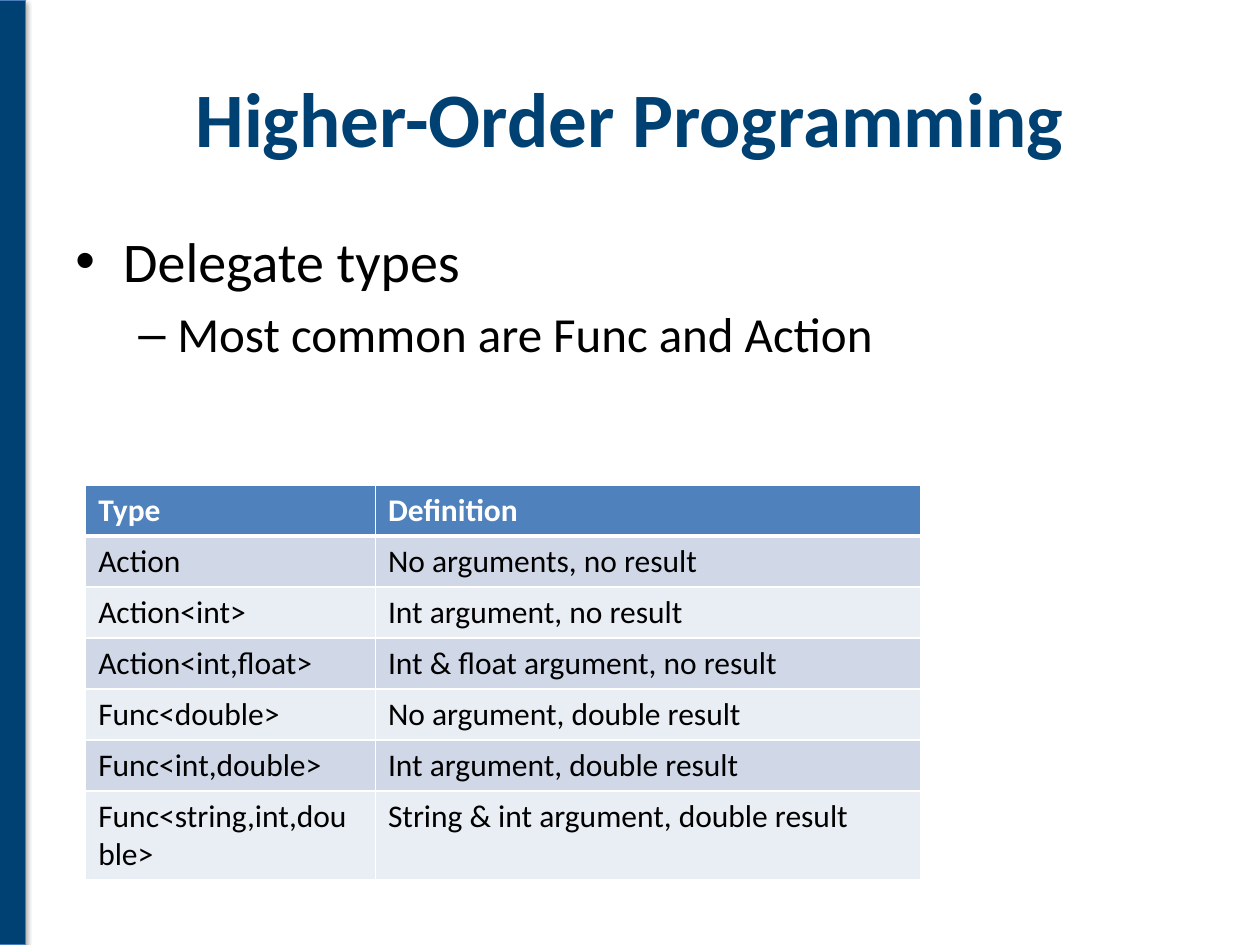
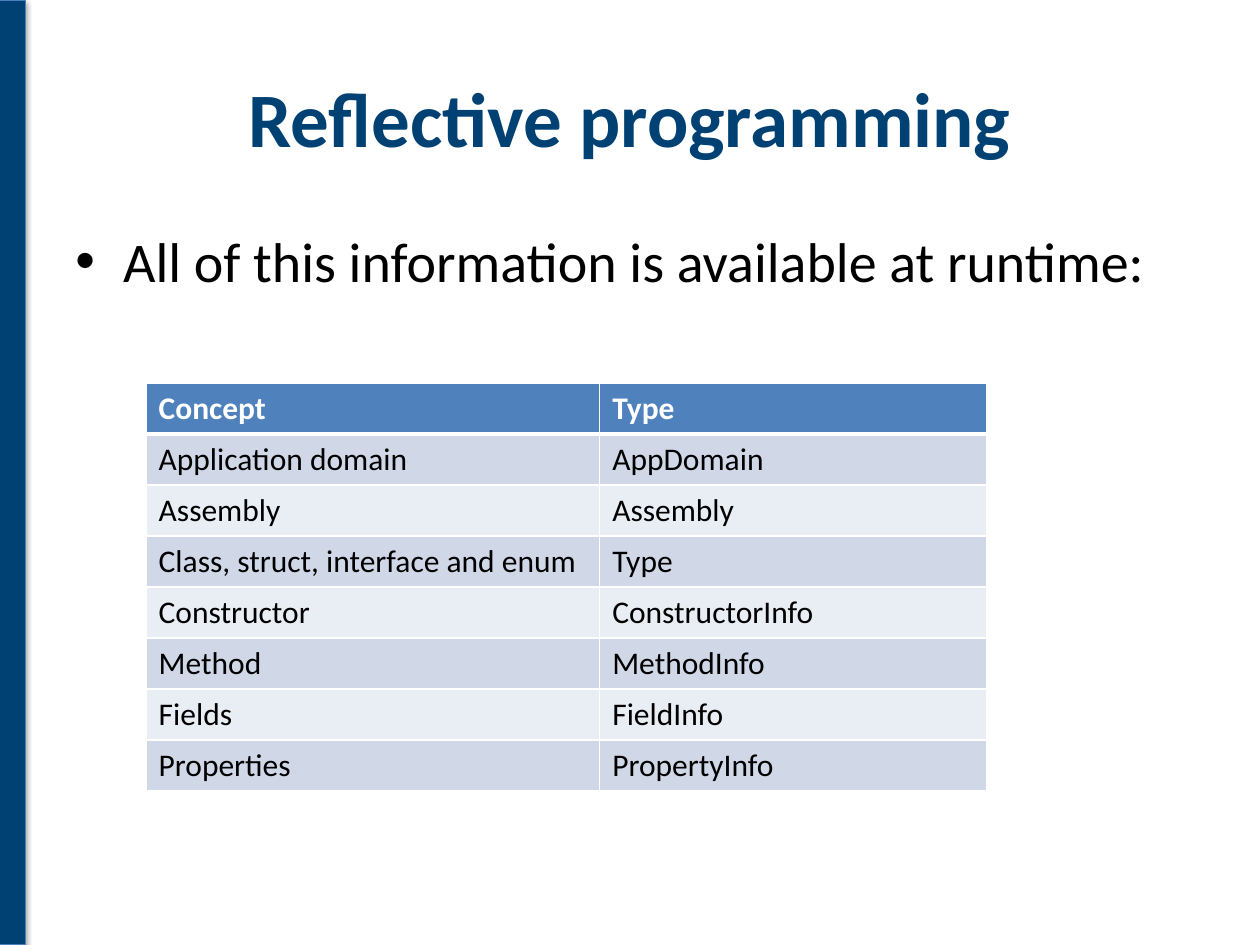
from dataclasses import dataclass

from pptx import Presentation
from pptx.dml.color import RGBColor
from pptx.enum.shapes import MSO_SHAPE as Shape
from pptx.enum.text import MSO_ANCHOR as Anchor, PP_ALIGN as Align
from pptx.oxml import parse_xml
from pptx.oxml.ns import nsdecls
from pptx.util import Inches, Pt


@dataclass(frozen=True)
class Theme:
    font: str = "Calibri"
    navy: str = "004173"
    bar_edge: str = "4B7EBC"
    header: str = "4F81BD"
    stripes: tuple = ("D0D8E8", "E9EDF4")
    white: str = "FFFFFF"
    black: str = "000000"
    title_size: int = 44
    body_sizes: tuple = (32, 28)
    table_size: int = 18
    # Bullet character, left margin and hanging indent by level
    bullets: tuple = (("•", 0.38, 0.38), ("–", 0.81, 0.31))
    row_height: int = Inches(3.24) // 8


class SlideBuilder:
    def __init__(self, deck, theme):
        self.deck = deck
        self.theme = theme
        self.page = None

    def new_page(self, title):
        self.page = self.deck.slides.add_slide(self.deck.slide_layouts[6])
        self.side_bar()
        self.title(title)

    def format_text(self, para, size, color, bold=False):
        for span in para.runs:
            span.font.name = self.theme.font
            span.font.size = Pt(size)
            span.font.bold = bold
            span.font.color.rgb = RGBColor.from_string(color)

    def text_frame(self, left, top, width, height):
        box = self.page.shapes.add_textbox(
            Inches(left), Inches(top), Inches(width), Inches(height))
        box.text_frame.word_wrap = True
        return box.text_frame

    def side_bar(self):
        bar = self.page.shapes.add_shape(
            Shape.RECTANGLE, Inches(-0.12), 0, Inches(0.32), self.deck.slide_height)
        bar.fill.solid()
        bar.fill.fore_color.rgb = RGBColor.from_string(self.theme.navy)
        bar.line.color.rgb = RGBColor.from_string(self.theme.bar_edge)
        bar.line.width = Pt(0.75)
        bar.shadow.inherit = False
        # Soft shadow below the bar
        effects = bar.fill._xPr.find("{*}effectLst")
        effects.append(parse_xml(
            f'<a:outerShdw {nsdecls("a")} blurRad="{Pt(3.1)}" dist="{Pt(1.8)}" '
            f'dir="5400000" rotWithShape="0"><a:srgbClr val="{self.theme.black}">'
            '<a:alpha val="35000"/></a:srgbClr></a:outerShdw>'))

    def title(self, text):
        frame = self.text_frame(0.5, 0.3, 9, 1.25)
        frame.vertical_anchor = Anchor.MIDDLE
        frame.text = text
        para = frame.paragraphs[0]
        para.alignment = Align.CENTER
        self.format_text(para, self.theme.title_size, self.theme.navy, bold=True)

    def bullet_list(self, *lines):
        """Each line goes one level deeper than the line before."""
        frame = self.text_frame(0.5, 1.75, 9, 4.95)
        frame.text = "\n".join(lines)
        for level, para in enumerate(frame.paragraphs):
            mark, margin, hang = self.theme.bullets[level]
            size = self.theme.body_sizes[level]
            para.level = level
            para.space_before = Pt(0.2 * size)
            self.format_text(para, size, self.theme.black)
            props = para._p.get_or_add_pPr()
            props.set("marL", str(Inches(margin)))
            props.set("indent", str(-Inches(hang)))
            props.append(parse_xml(f'<a:buFont {nsdecls("a")} typeface="Arial"/>'))
            props.append(parse_xml(f'<a:buChar {nsdecls("a")} char="{mark}"/>'))

    def cell_borders(self, cell, top, bottom):
        props = cell._tc.get_or_add_tcPr()
        for side, width in (("L", 1), ("R", 1), ("T", top), ("B", bottom)):
            props.append(parse_xml(
                f'<a:ln{side} {nsdecls("a")} w="{Pt(width)}"><a:solidFill>'
                f'<a:srgbClr val="{self.theme.white}"/></a:solidFill></a:ln{side}>'))

    def table(self, left, top, widths, rows):
        theme = self.theme
        table = self.page.shapes.add_table(
            len(rows), len(widths), Inches(left), Inches(top),
            Inches(sum(widths)), theme.row_height * len(rows)).table
        for column, width in zip(table.columns, widths):
            column.width = Inches(width)
        for index, texts in enumerate(rows):
            is_header = index == 0
            fill = theme.header if is_header else theme.stripes[(index - 1) % 2]
            color = theme.white if is_header else theme.black
            for cell, text in zip(table.rows[index].cells, texts):
                self.cell_borders(cell, top=3 if index == 1 else 1,
                                  bottom=3 if is_header else 1)
                cell.fill.solid()
                cell.fill.fore_color.rgb = RGBColor.from_string(fill)
                cell.text = text
                self.format_text(cell.text_frame.paragraphs[0],
                                 theme.table_size, color, bold=is_header)


DELEGATE_TYPES = [
    ("Type", "Definition"),
    ("Action", "No arguments, no result"),
    ("Action<int>", "Int argument, no result"),
    ("Action<int,float>", "Int & float argument, no result"),
    ("Func<double>", "No argument, double result"),
    ("Func<int,double>", "Int argument, double result"),
    ("Func<string,int,double>", "String & int argument, double result"),
]

REFLECTION_TYPES = [
    ("Concept", "Type"),
    ("Application domain", "AppDomain"),
    ("Assembly", "Assembly"),
    ("Class, struct, interface and enum", "Type"),
    ("Constructor", "ConstructorInfo"),
    ("Method", "MethodInfo"),
    ("Fields", "FieldInfo"),
    ("Properties", "PropertyInfo"),
]


def main():
    deck = Presentation()
    deck.slide_width = Inches(10)
    deck.slide_height = Inches(7.5)
    builder = SlideBuilder(deck, Theme())

    # Delegates
    builder.new_page("Higher-Order Programming")
    builder.bullet_list("Delegate types", "Most common are Func and Action")
    builder.table(0.68, 3.85, (2.3, 4.33), DELEGATE_TYPES)

    # Reflection
    builder.new_page("Reflective programming")
    builder.bullet_list("All of this information is available at runtime:")
    builder.table(1.16, 3.04, (3.6, 3.07), REFLECTION_TYPES)

    deck.save("out.pptx")


if __name__ == "__main__":
    main()
